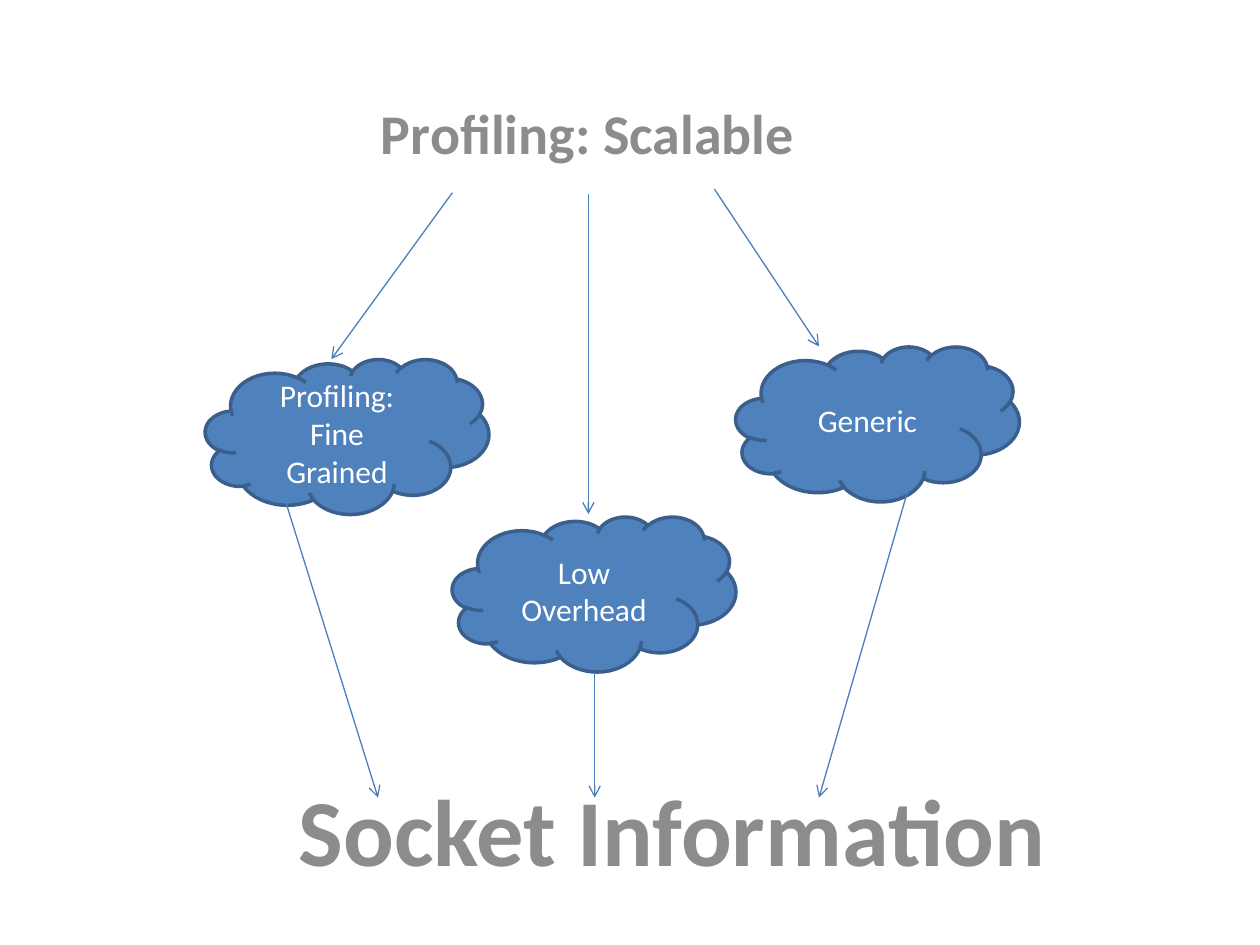
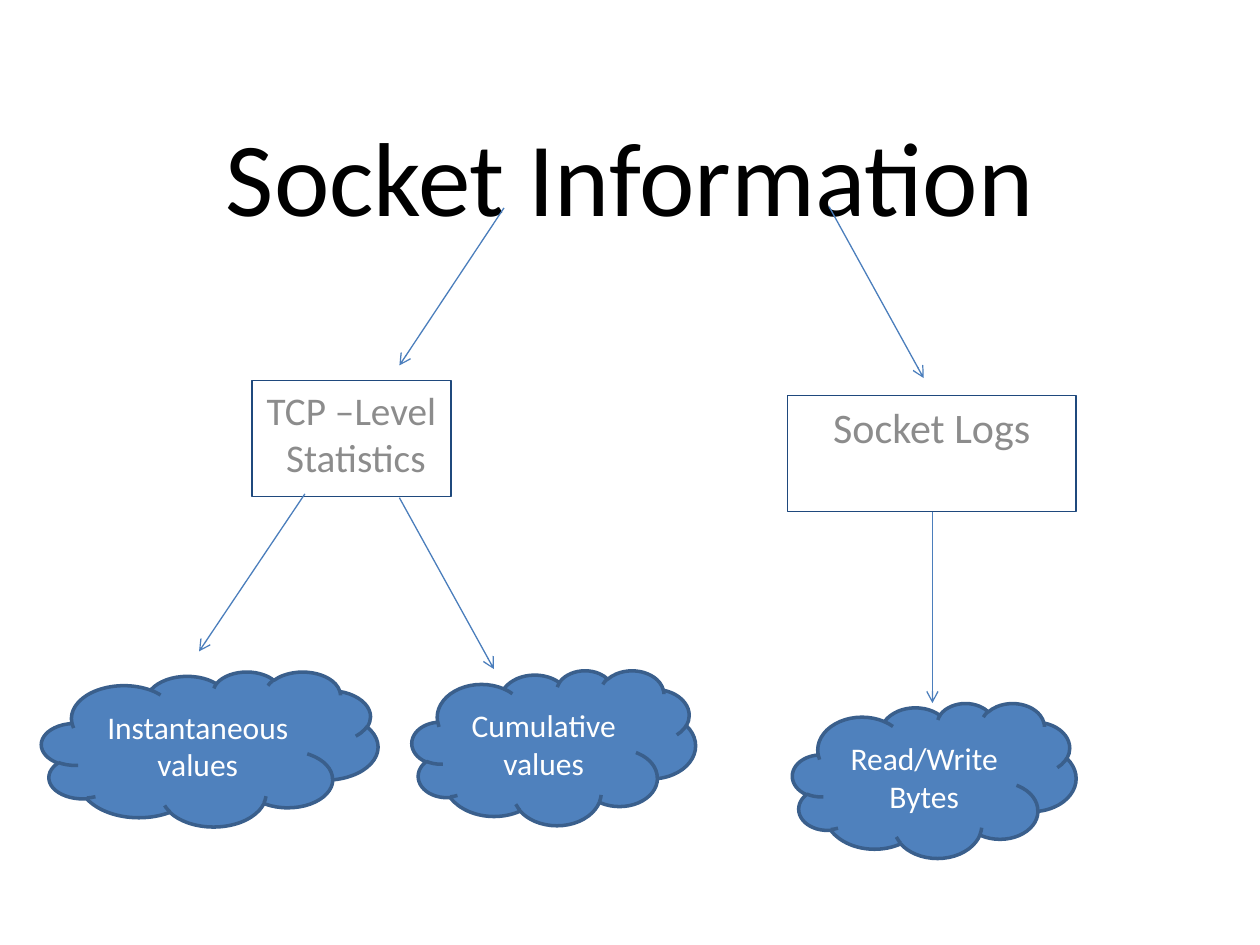
from dataclasses import dataclass

from lxml import etree
from pptx import Presentation
from pptx.dml.color import RGBColor
from pptx.enum import shapes, text
from pptx.oxml.ns import qn
from pptx.util import Inches, Pt


@dataclass(frozen=True)
class Theme:
    font: str = "Calibri"
    black: str = "000000"
    white: str = "FFFFFF"
    grey: str = "8C8C8C"
    cloud_fill: str = "4F81BD"
    cloud_line: str = "3A5F8C"
    arrow: str = "4B7EBC"
    frame: str = "1F497D"
    title_size: float = 60
    conclusion_size: float = 54
    heading_size: float = 32
    topic_size: float = 24
    tight_topic_size: float = 22.4
    cloud_size: float = 18
    thin: float = 0.75
    thick: float = 2


THEME = Theme()
CLOUD_HEIGHT = 1.23
TOPIC_HEIGHT = 0.92


@dataclass(frozen=True)
class Caption:
    wording: str
    left: float
    top: float
    width: float
    height: float
    size: float
    color: str = THEME.grey
    bold: bool = False
    anchor: text.MSO_ANCHOR = text.MSO_ANCHOR.TOP


@dataclass(frozen=True)
class Topic:
    wording: str
    left: float
    top: float
    width: float
    size: float = THEME.topic_size


@dataclass(frozen=True)
class Cloud:
    wording: str
    left: float
    top: float
    width: float = 2.25


@dataclass(frozen=True)
class Arrow:
    start_x: float
    start_y: float
    end_x: float
    end_y: float


def rgb(color: str) -> RGBColor:
    return RGBColor.from_string(color)


def write(shape, wording: str, size: float, color: str, bold: bool = False,
          anchor: text.MSO_ANCHOR = text.MSO_ANCHOR.TOP) -> None:
    frame = shape.text_frame
    frame.word_wrap = True
    frame.vertical_anchor = anchor
    paragraph = frame.paragraphs[0]
    paragraph.alignment = text.PP_ALIGN.CENTER
    run = paragraph.add_run()
    run.text = wording
    run.font.name = THEME.font
    run.font.size = Pt(size)
    run.font.bold = bold
    run.font.color.rgb = rgb(color)


def outline(shape, color: str, width: float) -> None:
    shape.line.color.rgb = rgb(color)
    shape.line.width = Pt(width)


def draw_caption(slide, caption: Caption) -> None:
    box = slide.shapes.add_textbox(Inches(caption.left), Inches(caption.top),
                                   Inches(caption.width), Inches(caption.height))
    write(box, caption.wording, caption.size, caption.color, caption.bold, caption.anchor)


def draw_topic(slide, topic: Topic) -> None:
    shape = slide.shapes.add_shape(
        shapes.MSO_SHAPE.RECTANGLE, Inches(topic.left), Inches(topic.top),
        Inches(topic.width), Inches(TOPIC_HEIGHT))
    shape.shadow.inherit = False
    shape.fill.background()
    outline(shape, THEME.frame, THEME.thin)
    write(shape, topic.wording, topic.size, THEME.grey)


def draw_cloud(slide, cloud: Cloud) -> None:
    shape = slide.shapes.add_shape(
        shapes.MSO_SHAPE.CLOUD, Inches(cloud.left), Inches(cloud.top),
        Inches(cloud.width), Inches(CLOUD_HEIGHT))
    shape.shadow.inherit = False
    shape.fill.solid()
    shape.fill.fore_color.rgb = rgb(THEME.cloud_fill)
    outline(shape, THEME.cloud_line, THEME.thick)
    write(shape, cloud.wording, THEME.cloud_size, THEME.white,
          anchor=text.MSO_ANCHOR.MIDDLE)


def draw_arrow(slide, arrow: Arrow) -> None:
    connector = slide.shapes.add_connector(
        shapes.MSO_CONNECTOR.STRAIGHT, Inches(arrow.start_x), Inches(arrow.start_y),
        Inches(arrow.end_x), Inches(arrow.end_y))
    outline(connector, THEME.arrow, THEME.thin)
    etree.SubElement(connector.line._get_or_add_ln(), qn("a:tailEnd"), type="arrow")
    etree.SubElement(connector._element.spPr, qn("a:effectLst"))


DRAWERS = {Caption: draw_caption, Topic: draw_topic, Cloud: draw_cloud, Arrow: draw_arrow}

# Profiling goals leading to socket information
PROFILING = [
    Caption("Socket Information", 1.5, 6.08, 7.67, 1, THEME.conclusion_size, bold=True),
    Caption("Profiling: Scalable ", 2.63, 0.73, 4.17, 0.75, THEME.heading_size, bold=True),
    Arrow(3.59, 1.53, 2.63, 2.85),
    Arrow(4.67, 1.54, 4.67, 4.08),
    Arrow(5.67, 1.5, 6.5, 2.75),
    Cloud("Profiling: Fine Grained", 1.63, 2.85),
    Cloud("Generic", 5.84, 2.75),
    Cloud("Low Overhead", 3.59, 4.1),
    Arrow(2.27, 3.99, 3, 6.33),
    Arrow(7.2, 3.91, 6.5, 6.33),
    Arrow(4.72, 5.34, 4.72, 6.33),
]

# Socket information split into statistics and logs
SOCKET_INFORMATION = [
    Caption("Socket Information", 0.75, 0.58, 8.5, 1.61, THEME.title_size,
            THEME.black, anchor=text.MSO_ANCHOR.MIDDLE),
    Topic("TCP –Level  Statistics", 2, 3.02, 1.58, THEME.tight_topic_size),
    Topic("Socket Logs", 6.25, 3.14, 2.29),
    Arrow(4, 1.65, 3.17, 2.9),
    Arrow(6.58, 1.64, 7.33, 3),
    Cloud("Instantaneous values", 0.33, 5.33, 2.67),
    Cloud("Cumulative values", 3.27, 5.32),
    Arrow(2.42, 3.92, 1.58, 5.17),
    Arrow(3.17, 3.95, 3.92, 5.31),
    Arrow(7.4, 4.06, 7.4, 5.58),
    Cloud("Read/Write Bytes", 6.29, 5.58),
]


def main() -> None:
    presentation = Presentation()
    presentation.slide_width = Inches(10)
    presentation.slide_height = Inches(7.5)
    for elements in (PROFILING, SOCKET_INFORMATION):
        slide = presentation.slides.add_slide(presentation.slide_layouts[6])
        for element in elements:
            DRAWERS[type(element)](slide, element)
    presentation.save("out.pptx")


if __name__ == "__main__":
    main()
